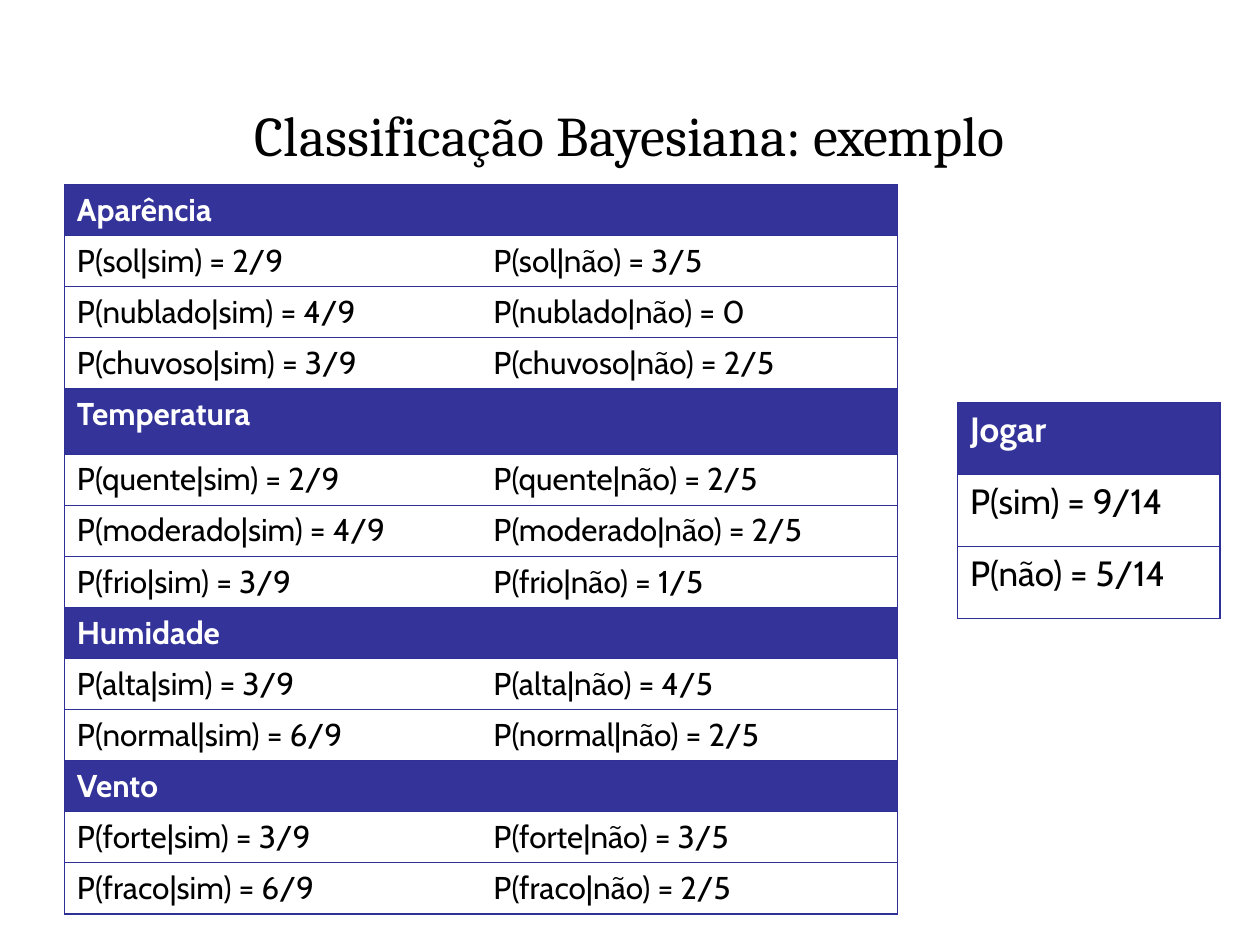
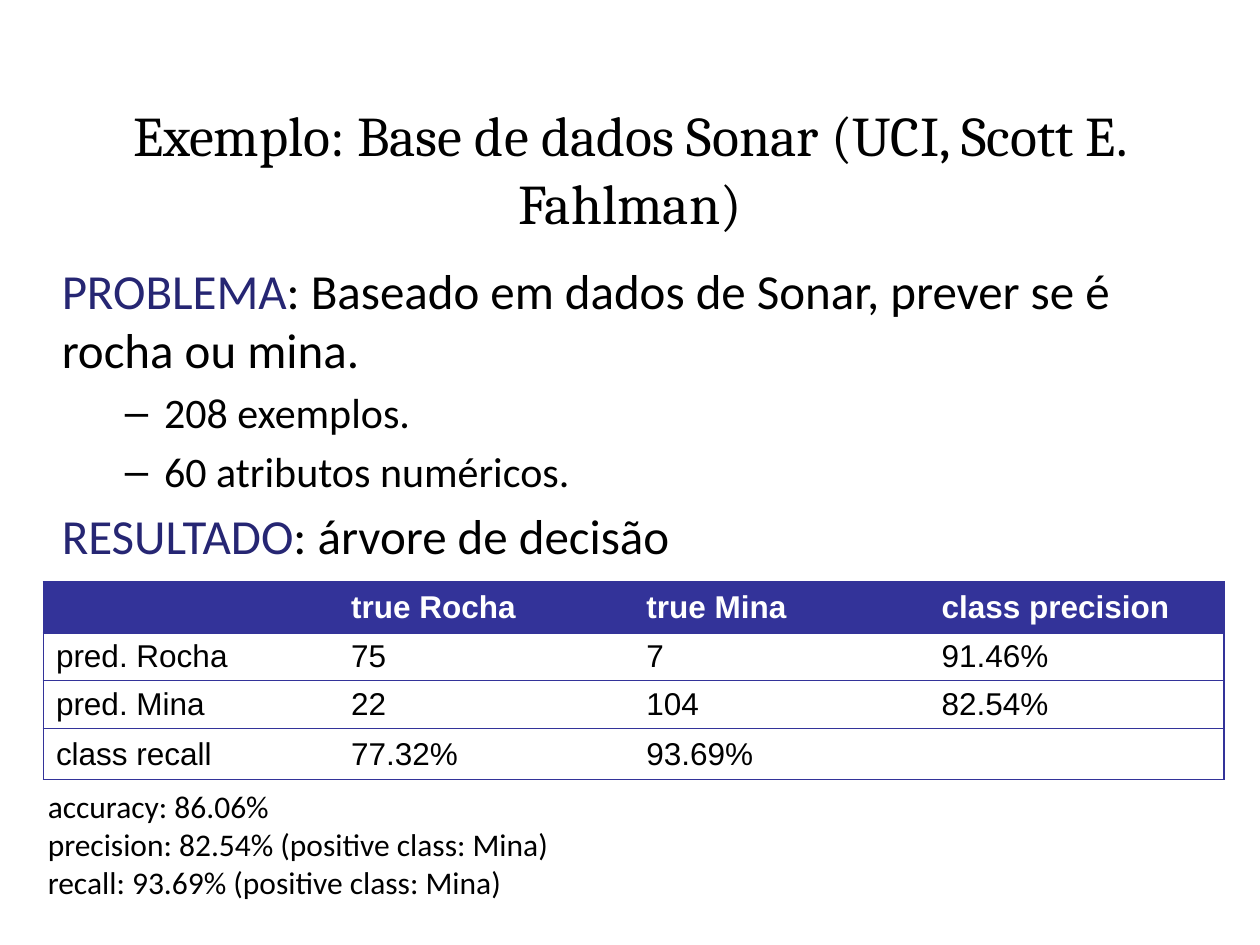
from lxml import etree
from pptx import Presentation
from pptx.dml.color import RGBColor
from pptx.enum.text import MSO_ANCHOR, MSO_AUTO_SIZE, PP_ALIGN
from pptx.oxml.ns import qn
from pptx.util import Pt

TOP, MIDDLE = MSO_ANCHOR.TOP, MSO_ANCHOR.MIDDLE
CENTER = PP_ALIGN.CENTER
NO_AUTOFIT = MSO_AUTO_SIZE.NONE

BLACK = RGBColor(0x00, 0x00, 0x00)
WHITE = RGBColor(0xFF, 0xFF, 0xFF)
INDIGO = RGBColor(0x33, 0x33, 0x99)
GRID_BLUE = RGBColor(0x2F, 0x2F, 0x98)
NAVY = RGBColor(0x26, 0x26, 0x73)

TITLE_AND_CONTENT, TITLE_ONLY = 1, 5


def set_font(font, name, size, color, bold=False):
    font.name = name
    font.size = Pt(size)
    font.color.rgb = color
    font.bold = bold


def add_grid(page, left, top, column_width, row_heights, rows, headers,
             font_name, font_size, anchor, line_color, line_width):
    column_count = len(rows[0])
    frame = page.shapes.add_table(len(rows), column_count, Pt(left), Pt(top),
                                  Pt(column_width * column_count), Pt(sum(row_heights)))
    table = frame.table
    table.horz_banding = False
    for column in table.columns:
        column.width = Pt(column_width)
    for row_index, values in enumerate(rows):
        table.rows[row_index].height = Pt(row_heights[row_index])
        is_header = row_index in headers
        for column_index, value in enumerate(values):
            cell = table.cell(row_index, column_index)
            cell.vertical_anchor = anchor
            cell.fill.solid()
            cell.fill.fore_color.rgb = INDIGO if is_header else WHITE
            cell.text = value
            set_font(cell.text_frame.paragraphs[0].font, font_name, font_size,
                     WHITE if is_header else BLACK, is_header)
            edges = {"lnL": column_index == 0, "lnR": column_index == column_count - 1,
                     "lnT": True, "lnB": True}
            properties = cell._tc.get_or_add_tcPr()
            for position, (edge, visible) in enumerate(edges.items()):
                line = etree.Element(qn("a:" + edge), w=str(Pt(line_width)))
                properties.insert(position, line)
                if visible:
                    fill = etree.SubElement(line, qn("a:solidFill"))
                    etree.SubElement(fill, qn("a:srgbClr"), val=str(line_color))
                else:
                    etree.SubElement(line, qn("a:noFill"))


deck = Presentation()
deck.slide_width, deck.slide_height = Pt(720), Pt(540)

pages = []
for layout_index, heading in (
    (TITLE_ONLY, "Classificação Bayesiana: exemplo"),
    (TITLE_AND_CONTENT, "Exemplo: Base de dados Sonar (UCI, Scott E. Fahlman)"),
):
    page = deck.slides.add_slide(deck.slide_layouts[layout_index])
    title = page.shapes.title
    title.left, title.top, title.width, title.height = Pt(27.4), Pt(54), Pt(665.3), Pt(85.7)
    title.text = heading
    title.text_frame.vertical_anchor = TOP
    title.text_frame.auto_size = NO_AUTOFIT
    title_para = title.text_frame.paragraphs[0]
    title_para.alignment = CENTER
    set_font(title_para.font, "Cambria", 32, BLACK)
    pages.append(page)
bayes_page, sonar_page = pages

attributes = {
    "Aparência": [("sol", "2/9", "3/5"), ("nublado", "4/9", "0"), ("chuvoso", "3/9", "2/5")],
    "Temperatura": [("quente", "2/9", "2/5"), ("moderado", "4/9", "2/5"), ("frio", "3/9", "1/5")],
    "Humidade": [("alta", "3/9", "4/5"), ("normal", "6/9", "2/5")],
    "Vento": [("forte", "3/9", "3/5"), ("fraco", "6/9", "2/5")],
}
probability_rows, probability_heights, header_rows = [], [], []
for attribute, likelihoods in attributes.items():
    header_rows.append(len(probability_rows))
    probability_rows.append((attribute, ""))
    probability_heights.append(37.2 if attribute == "Temperatura" else 29.2)
    for value, given_yes, given_no in likelihoods:
        probability_rows.append((f"P({value}|sim) = {given_yes}", f"P({value}|não) = {given_no}"))
        probability_heights.append(29.2)

add_grid(bayes_page, 36.8, 105.5, 238, probability_heights, probability_rows, header_rows,
         "Cabin", 18, TOP, GRID_BLUE, 0.75)
add_grid(bayes_page, 547.2, 230.2, 150, [41.1] * 3,
         [("Jogar",), ("P(sim) = 9/14",), ("P(não) = 5/14",)], [0],
         "Cabin", 20, TOP, GRID_BLUE, 0.75)

body = sonar_page.placeholders[1]
body.left, body.top, body.width, body.height = Pt(28.1), Pt(145.4), Pt(663.8), Pt(374.4)
body.text_frame.auto_size = NO_AUTOFIT
body_lines = [
    ("PROBLEMA", ": Baseado em dados de Sonar, prever se é rocha ou mina."),
    ("", "208 exemplos."),
    ("", "60 atributos numéricos."),
    ("RESULTADO", ": árvore de decisão"),
]
for index, (keyword, statement) in enumerate(body_lines):
    para = body.text_frame.paragraphs[0] if index == 0 else body.text_frame.add_paragraph()
    if keyword:
        properties = para._p.get_or_add_pPr()
        properties.set("marL", "0")
        properties.set("indent", "0")
        etree.SubElement(properties, qn("a:buNone"))
        span = para.add_run()
        span.text = keyword
        set_font(span.font, "Calibri", 28, NAVY)
    else:
        para.level = 1
    span = para.add_run()
    span.text = statement
    set_font(span.font, "Calibri", 28 if keyword else 24, BLACK)

confusion_rows = [
    ("", "true Rocha", "true Mina", "class precision"),
    ("pred. Rocha", "75", "7", "91.46%"),
    ("pred. Mina", "22", "104", "82.54%"),
    ("class recall", "77.32%", "93.69%", ""),
]
add_grid(sonar_page, 24.8, 332.5, 168.7, [29.1, 27.4, 27.4, 29.1], confusion_rows, [0],
         "Arial", 18, MIDDLE, INDIGO, 1)

metrics_box = sonar_page.shapes.add_textbox(Pt(20.2), Pt(446.4), Pt(308.2), Pt(72.7))
metrics_box.text_frame.word_wrap = True
metrics_box.text_frame.text = "\n".join([
    "accuracy: 86.06%",
    "precision: 82.54% (positive class: Mina)",
    "recall: 93.69% (positive class: Mina)",
])
for para in metrics_box.text_frame.paragraphs:
    set_font(para.font, "Calibri", 18, BLACK)

deck.save("out.pptx")
